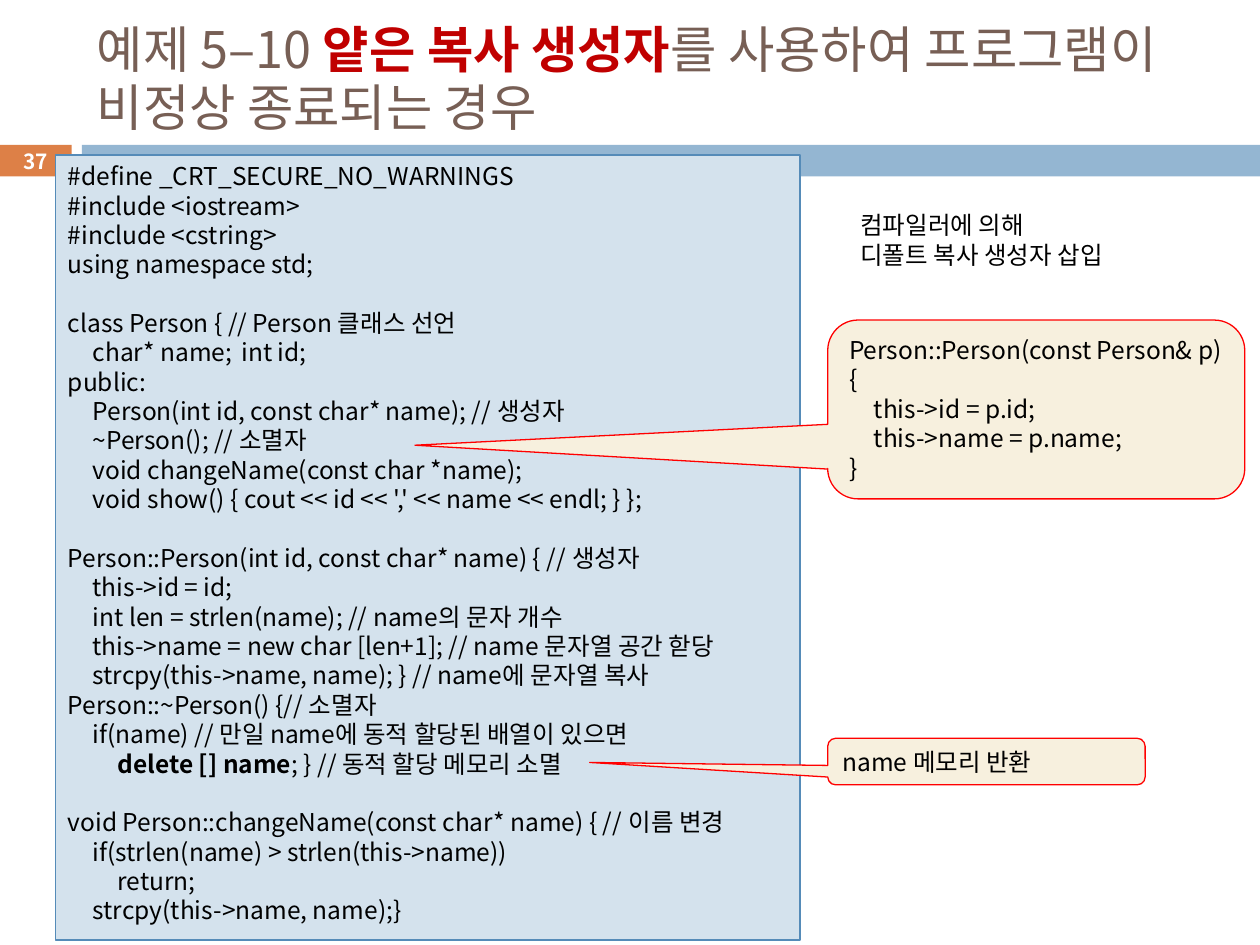
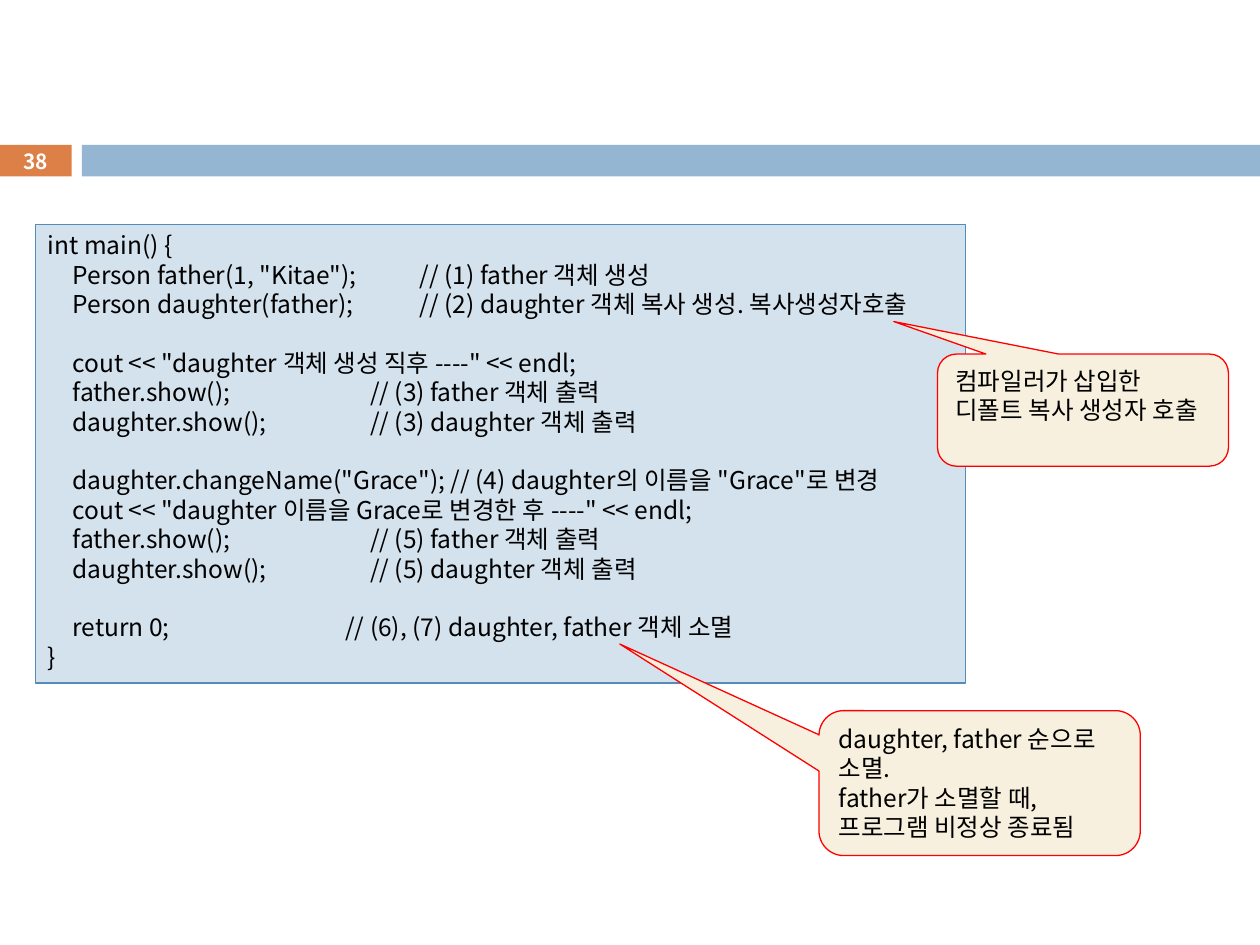
from dataclasses import dataclass

from pptx import Presentation
from pptx.dml.color import RGBColor
from pptx.enum.shapes import MSO_SHAPE
from pptx.enum.text import MSO_ANCHOR, PP_ALIGN
from pptx.oxml.ns import qn
from pptx.util import Pt

RECT = MSO_SHAPE.RECTANGLE
CALLOUT = MSO_SHAPE.ROUNDED_RECTANGULAR_CALLOUT
TOP, MIDDLE = MSO_ANCHOR.TOP, MSO_ANCHOR.MIDDLE
LEFT, CENTER = PP_ALIGN.LEFT, PP_ALIGN.CENTER

BLACK = RGBColor(0x00, 0x00, 0x00)
WHITE = RGBColor(0xFF, 0xFF, 0xFF)
BROWN = RGBColor(0x77, 0x5F, 0x55)
DARK_RED = RGBColor(0xC0, 0x00, 0x00)
RED = RGBColor(0xFF, 0x00, 0x00)
ORANGE = RGBColor(0xDD, 0x80, 0x47)
BLUE = RGBColor(0x94, 0xB6, 0xD2)
CODE_FILL = RGBColor(0xD4, 0xE2, 0xED)
CODE_LINE = RGBColor(0x55, 0x8B, 0xB8)
CREAM = RGBColor(0xF7, 0xF0, 0xDE)

FONT = "Noto Sans CJK KR"
TAB = 14.17
LEADING = 16.78
TAB_MARK = "    "  # four spaces in the texts below stand for one tab
BOLD_MARK = "**"


@dataclass(frozen=True)
class Box:
    x: float
    y: float
    w: float
    h: float


@dataclass(frozen=True)
class Callout:
    box: Box
    tip_x: float
    tip_y: float
    text: str


@dataclass(frozen=True)
class Page:
    number: int
    code_box: Box
    code: str
    callouts: tuple[Callout, ...]
    comment_columns: tuple[int, ...] = ()  # in tab units, one per aligned comment
    title: str = ""
    note: str = ""


TITLE_BOX = Box(48.2, 18, 642.2, 53.3)
NUMBER_BAND = Box(-0.5, 82.8, 41.5, 18)
NUMBER_BOX = Box(-0.5, 81.4, 41.5, 19.4)
WIDE_BAND = Box(46.8, 82.8, 673.2, 18)
NOTE_BOX = Box(484.6, 116.6, 184.3, 41)

CLASS_CODE = """\
#define _CRT_SECURE_NO_WARNINGS
#include <iostream>
#include <cstring>
using namespace std;

class Person { // Person 클래스 선언
    char* name;    int id;
public:
    Person(int id, const char* name); // 생성자
    ~Person(); // 소멸자
    void changeName(const char *name);
    void show() { cout << id << ',' << name << endl; } };

Person::Person(int id, const char* name) { // 생성자
    this->id = id;
    int len = strlen(name); // name의 문자 개수
    this->name = new char [len+1]; // name 문자열 공간 핟당
    strcpy(this->name, name); } // name에 문자열 복사
Person::~Person() {// 소멸자
    if(name) // 만일 name에 동적 할당된 배열이 있으면
        **delete [] name**; } // 동적 할당 메모리 소멸

void Person::changeName(const char* name) { // 이름 변경
    if(strlen(name) > strlen(this->name))
        return;
    strcpy(this->name, name);}"""

MAIN_CODE = """\
int main() {
    Person father(1, "Kitae");    // (1) father 객체 생성
    Person daughter(father);    // (2) daughter 객체 복사 생성. 복사생성자호출

    cout << "daughter 객체 생성 직후 ----" << endl;
    father.show();    // (3) father 객체 출력
    daughter.show();    // (3) daughter 객체 출력

    daughter.changeName("Grace"); // (4) daughter의 이름을 "Grace"로 변경
    cout << "daughter 이름을 Grace로 변경한 후 ----" << endl;
    father.show();    // (5) father 객체 출력
    daughter.show();    // (5) daughter 객체 출력

    return 0;    // (6), (7) daughter, father 객체 소멸
}"""

COPY_CONSTRUCTOR = """\
Person::Person(const Person& p) {
    this->id = p.id;
    this->name = p.name;
}"""

PAGES = (
    Page(
        37, Box(31.7, 88.6, 425.5, 448.6), CLASS_CODE,
        (
            Callout(Box(473, 182.9, 238.3, 102.2), -1.49, 0.2, COPY_CONSTRUCTOR),
            Callout(Box(473, 421.9, 181.4, 26.6), -1.25, 0.02, "name 메모리 반환"),
        ),
        title="예제 5–10 **얕은 복사 생성자**를 사용하여 프로그램이 비정상 종료되는 경우",
        note="컴파일러에 의해\n디폴트 복사 생성자 삽입",
    ),
    Page(
        38, Box(20.2, 128.2, 531.4, 262.1), MAIN_CODE,
        (
            Callout(Box(535.7, 202.3, 166.3, 64.1), -0.65, -0.79,
                    "컴파일러가 삽입한\n디폴트 복사 생성자 호출"),
            Callout(Box(468, 406.1, 183.6, 82.8), -1.12, -0.96,
                    "daughter, father 순으로 소멸.\nfather가 소멸할 때, 프로그램 비정상 종료됨"),
        ),
        comment_columns=(15, 15, 13, 13, 13, 13, 12),
    ),
)


def place(box: Box) -> tuple:
    return Pt(box.x), Pt(box.y), Pt(box.w), Pt(box.h)


def set_tabs(p, stops) -> None:
    """Give a paragraph left tab stops, counted in tab units."""
    tabs = p._p.get_or_add_pPr().makeelement(qn("a:tabLst"), {})
    for n in stops:
        stop = tabs.makeelement(qn("a:tab"), {"pos": str(Pt(n * TAB)), "algn": "l"})
        tabs.append(stop)
    p._p.get_or_add_pPr().append(tabs)


def write(sp, text: str, *, size=14, color=BLACK, bold=False, accent=None,
          leading=LEADING, align=LEFT, anchor=TOP, columns=()) -> None:
    """Write lines; a blank line becomes space before the next paragraph."""
    tf = sp.text_frame
    tf.word_wrap = True
    tf.vertical_anchor = anchor
    column = iter(columns)
    gap, p = 0, None
    for line in text.split("\n"):
        if not line:
            gap += leading
            continue
        p = tf.add_paragraph() if p is not None else tf.paragraphs[0]
        p.alignment = align
        p.line_spacing = Pt(leading)
        p.space_before = Pt(gap)
        gap = 0
        if TAB_MARK in line:
            aligned = TAB_MARK + "//" in line
            set_tabs(p, (1, next(column)) if aligned else range(1, 9))
        for i, part in enumerate(line.replace(TAB_MARK, "\t").split(BOLD_MARK)):
            if not part:
                continue
            marked = i % 2 == 1
            r = p.add_run()
            r.text = part
            r.font.name = FONT
            r.font.size = Pt(size)
            r.font.bold = bold or marked
            r.font.color.rgb = accent if marked and accent else color
            rPr = r.font._element
            rPr.append(rPr.makeelement(qn("a:ea"), {"typeface": FONT}))


def add_box(s, kind, box: Box, fill: RGBColor, line: RGBColor | None = None):
    sp = s.shapes.add_shape(kind, *place(box))
    sp.shadow.inherit = False
    sp.fill.solid()
    sp.fill.fore_color.rgb = fill
    if line is None:
        sp.line.fill.background()
    else:
        sp.line.color.rgb = line
        sp.line.width = Pt(0.75)
    return sp


def add_text(s, box: Box, text: str, **fmt):
    sp = s.shapes.add_textbox(*place(box))
    write(sp, text, **fmt)
    return sp


def add_callout(s, callout: Callout) -> None:
    sp = add_box(s, CALLOUT, callout.box, CREAM, RED)
    for i, value in enumerate((callout.tip_x, callout.tip_y, 0.17)):
        sp.adjustments[i] = value
    write(sp, callout.text)


def add_frame(s, page: Page) -> None:
    """Bands, title and page number."""
    add_box(s, RECT, NUMBER_BAND, ORANGE)
    add_box(s, RECT, WIDE_BAND, BLUE)
    if page.title:
        add_text(s, TITLE_BOX, page.title, size=28.8, color=BROWN, accent=DARK_RED,
                 leading=33.7, anchor=MIDDLE)
    add_text(s, NUMBER_BOX, str(page.number), size=11.9, color=WHITE, bold=True,
             align=CENTER, anchor=MIDDLE)


def build_page(prs, page: Page) -> None:
    s = prs.slides.add_slide(prs.slide_layouts[6])
    add_frame(s, page)
    # Code listing
    code = add_box(s, RECT, page.code_box, CODE_FILL, CODE_LINE)
    write(code, page.code, columns=page.comment_columns)
    # Explanations
    if page.note:
        add_text(s, NOTE_BOX, page.note)
    for callout in page.callouts:
        add_callout(s, callout)


def main() -> None:
    prs = Presentation()
    prs.slide_width, prs.slide_height = Pt(720), Pt(540)
    for page in PAGES:
        build_page(prs, page)
    prs.save("out.pptx")


if __name__ == "__main__":
    main()
